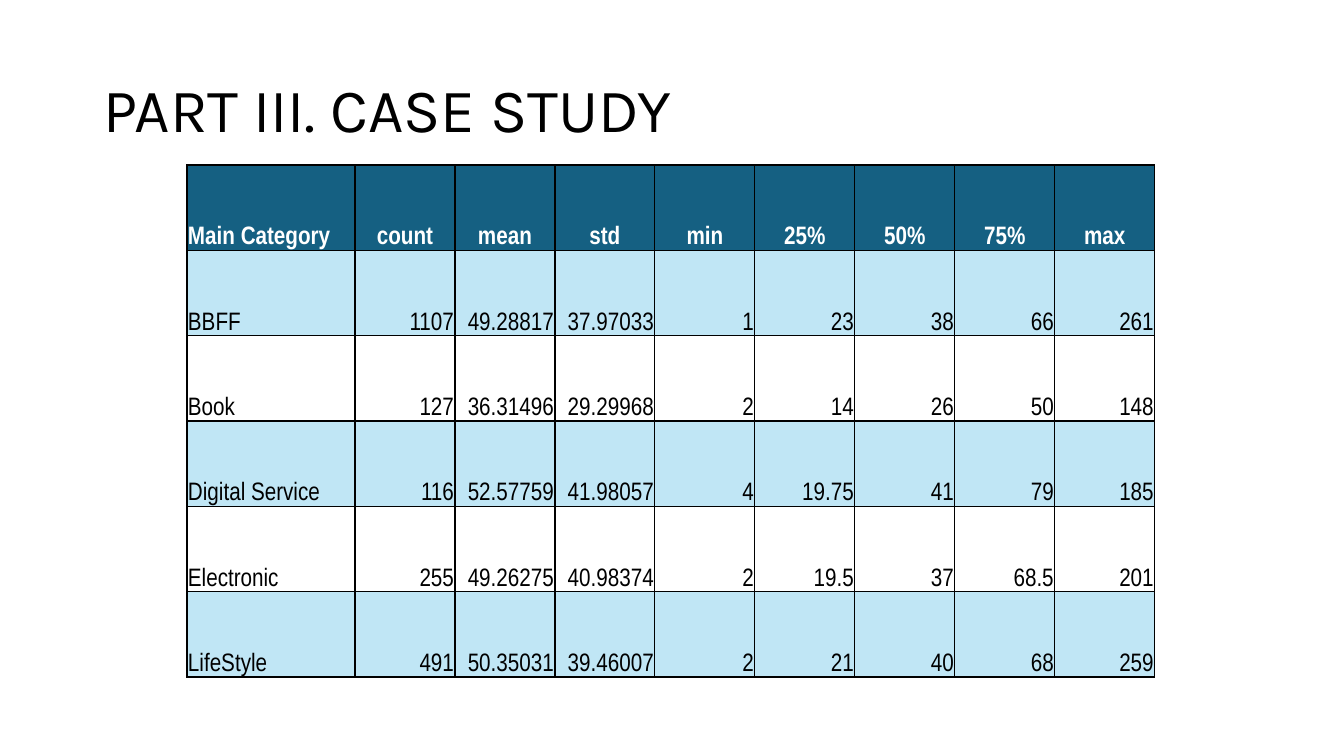
from lxml import etree
from pptx import Presentation
from pptx.dml.color import RGBColor
from pptx.enum.text import MSO_ANCHOR, PP_ALIGN
from pptx.oxml.ns import qn
from pptx.util import Pt

LEFT, MID, RIGHT = PP_ALIGN.LEFT, PP_ALIGN.CENTER, PP_ALIGN.RIGHT
CENTER, BOTTOM = MSO_ANCHOR.MIDDLE, MSO_ANCHOR.BOTTOM

THEME = {
    "ink": "000000", "head": "156082", "band": "C0E6F5", "light": "FFFFFF",
    "title": ("Karla", 44), "cell": ("Arial Narrow", 18), "rule": 1,
}
ROWS = [
    ("Main Category", "count", "mean", "std", "min", "25%", "50%", "75%", "max"),
    ("BBFF", "1107", "49.28817", "37.97033", "1", "23", "38", "66", "261"),
    ("Book", "127", "36.31496", "29.29968", "2", "14", "26", "50", "148"),
    ("Digital Service", "116", "52.57759", "41.98057", "4", "19.75", "41", "79", "185"),
    ("Electronic", "255", "49.26275", "40.98374", "2", "19.5", "37", "68.5", "201"),
    ("LifeStyle", "491", "50.35031", "39.46007", "2", "21", "40", "68", "259"),
]
NAME_W, STAT_W, HIGH = 168, 100, 512


def px(n):
    """Turn px, at 100.8 to the inch, into EMU."""
    return round(n * 914400 / 100.8)


def style(para, kind, color, align):
    name, size = THEME[kind]
    para.alignment = align
    para.font.name = name
    para.font.size = Pt(size)
    para.font.color.rgb = RGBColor.from_string(color)


deck = Presentation()
deck.slide_width, deck.slide_height = px(1344), px(756)
slide = deck.slides.add_slide(deck.slide_layouts[5])

title = slide.shapes.title
title.left, title.top, title.width, title.height = map(px, (93, 40, 1159, 146))
title.text_frame.text = "PART III. CASE STUDY"
title.text_frame.vertical_anchor = CENTER
line = title.text_frame.paragraphs[0]
line.line_spacing = 0.9
style(line, "title", THEME["ink"], LEFT)

stats = len(ROWS[0]) - 1
table = slide.shapes.add_table(
    len(ROWS), stats + 1, px(187), px(165),
    px(NAME_W + stats * STAT_W), px(HIGH)).table
table.horz_banding = False
for c, col in enumerate(table.columns):
    col.width = px(STAT_W if c else NAME_W)

for r, row in enumerate(ROWS):
    table.rows[r].height = px(HIGH) // len(ROWS)
    for c, text in enumerate(row):
        cell = table.cell(r, c)
        cell.text = text
        cell.vertical_anchor = BOTTOM
        cell.margin_left = cell.margin_right = cell.margin_top = px(1)
        cell.margin_bottom = 0
        para = cell.text_frame.paragraphs[0]
        align = LEFT if c == 0 else RIGHT if r else MID
        style(para, "cell", THEME["ink" if r else "light"], align)
        para.font.bold = r == 0
        if r and r % 2 == 0:
            cell.fill.background()
        else:
            cell.fill.solid()
            cell.fill.fore_color.rgb = RGBColor.from_string(THEME["band" if r else "head"])

        props = cell._tc.get_or_add_tcPr()
        for i, side in enumerate(("lnL", "lnR", "lnT", "lnB")):
            edge = etree.Element(qn("a:" + side), w=str(Pt(THEME["rule"])))
            fill = etree.SubElement(edge, qn("a:solidFill"))
            etree.SubElement(fill, qn("a:srgbClr"), val=THEME["ink"])
            props.insert(i, edge)

deck.save("out.pptx")
